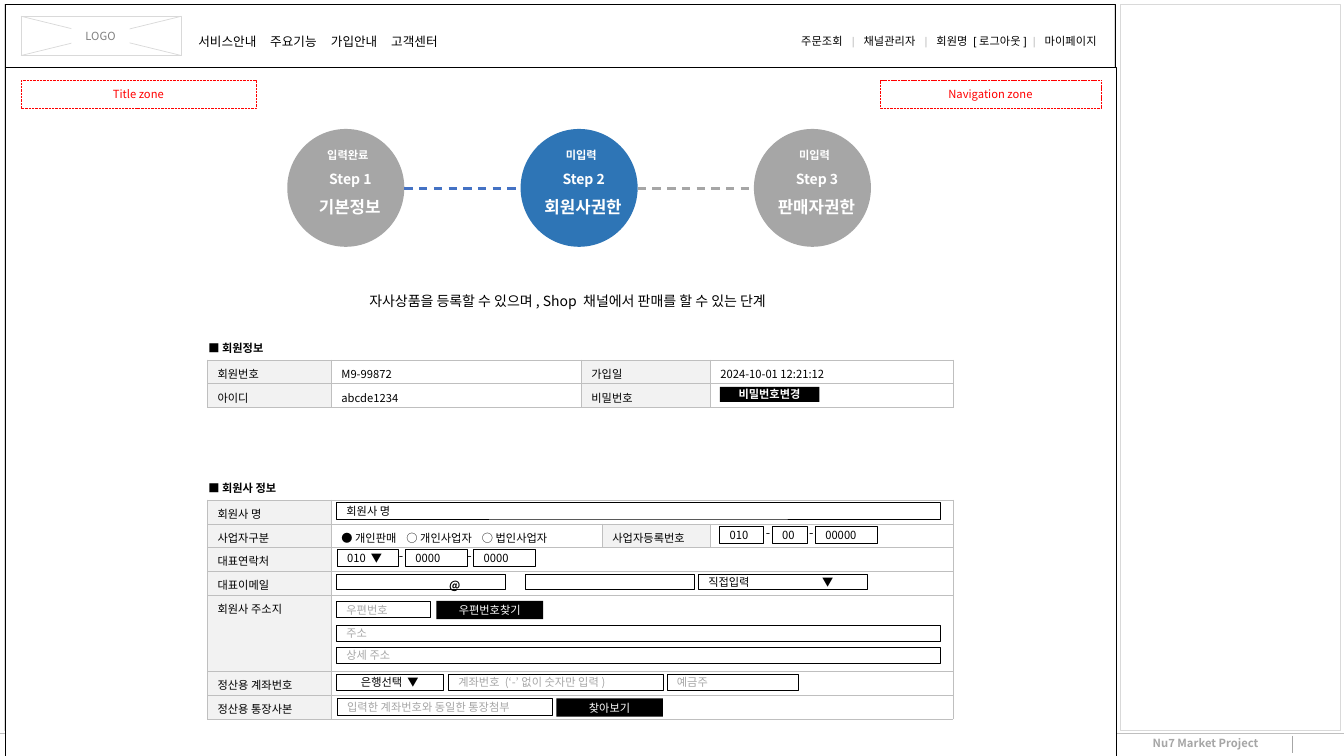
from lxml.etree import SubElement
from pptx import Presentation
from pptx.dml.color import RGBColor
from pptx.enum.dml import MSO_LINE_DASH_STYLE as Dash
from pptx.enum.shapes import MSO_CONNECTOR as Connector, MSO_SHAPE as Preset
from pptx.enum.text import MSO_ANCHOR as Anchor, MSO_AUTO_SIZE as AutoSize, PP_ALIGN as Align
from pptx.oxml.ns import qn
from pptx.util import Cm, Pt

FONT = "Noto Sans CJK KR"
COLORS = {
    "black": "000000", "white": "FFFFFF", "red": "FF0000", "blue": "2E75B6",
    "link": "4472C4", "gray": "A6A6A6", "logo": "808080", "border": "BFBFBF",
    "frame": "D9D9D9", "label": "F2F2F2",
}
MEMBER_ROWS = [
    ["회원번호", "M9-99872", "가입일", "2024-10-01 12:21:12"],
    ["아이디", "abcde1234", "비밀번호", ""],
]
COMPANY_ROWS = [
    ["회원사 명"],
    ["사업자구분", "● 개인판매\t○ 개인사업자\t○ 법인사업자", "사업자등록번호", ""],
    ["대표연락처"], ["대표이메일", "@"], ["회원사 주소지"],
    ["정산용 계좌번호"], ["정산용 통장사본"],
]
STEPS = [
    ("입력완료", "Step 1", "기본정보", "gray"),
    ("미입력", "Step 2", "회원사권한", "blue"),
    ("미입력", "Step 3", "판매자권한", "gray"),
]


def rgb(name):
    return RGBColor.from_string(COLORS[name])


def write(frame, runs, size=8, color="black", bold=False, align=Align.LEFT,
          font=FONT, tabs=(), spacing=None):
    """Fill the first paragraph; runs is a string or a list of (text, color)."""
    paragraph = frame.paragraphs[0]
    paragraph.alignment = align
    if spacing:
        paragraph.line_spacing = spacing
    if tabs:
        tab_list = SubElement(paragraph._p.get_or_add_pPr(), qn("a:tabLst"))
        for position in tabs:
            SubElement(tab_list, qn("a:tab"), pos=str(Cm(position)), algn="l")
    for text, run_color in [(runs, color)] if isinstance(runs, str) else runs:
        run = paragraph.add_run()
        run.text = text
        run.font.size = Pt(size)
        run.font.bold = bold
        run.font.name = font
        run.font.color.rgb = rgb(run_color)
        SubElement(run._r.get_or_add_rPr(), qn("a:ea"), typeface=font)


def add_text(slide, box, runs, wrap=True, **style):
    frame = slide.shapes.add_textbox(*map(Cm, box)).text_frame
    frame.word_wrap = wrap
    write(frame, runs, **style)


def add_box(slide, box, text="", fill=None, line="black", width=0.5,
            dash=None, preset=Preset.RECTANGLE, **style):
    shape = slide.shapes.add_shape(preset, *map(Cm, box))
    shape.shadow.inherit = False
    if fill:
        shape.fill.solid()
        shape.fill.fore_color.rgb = rgb(fill)
    else:
        shape.fill.background()
    if line:
        shape.line.color.rgb = rgb(line)
        shape.line.width = Pt(width)
        if dash:
            shape.line.dash_style = dash
    else:
        shape.line.fill.background()
    if text:
        frame = shape.text_frame
        frame.margin_top = frame.margin_bottom = 0
        frame.vertical_anchor = Anchor.MIDDLE
        write(frame, text, **style)


def add_line(slide, ends, color, width=0.25, dash=None):
    line = slide.shapes.add_connector(Connector.STRAIGHT, *map(Cm, ends))
    line.line.color.rgb = rgb(color)
    line.line.width = Pt(width)
    if dash:
        line.line.dash_style = dash
    SubElement(line._element.spPr, qn("a:effectLst"))


def add_button(slide, box, text, bold=False):
    add_box(slide, box, text, "black", None, color="white", bold=bold, align=Align.CENTER)


def add_hint(slide, box, text):
    """Input field with a gray hint."""
    add_box(slide, box, text, "white", color="gray")


def style_cell(cell, fill):
    cell.fill.solid()
    cell.fill.fore_color.rgb = rgb(fill)
    cell.margin_top, cell.margin_bottom = Cm(0.13), 0
    properties = cell._tc.get_or_add_tcPr()
    for index, side in enumerate(("a:lnL", "a:lnR", "a:lnT", "a:lnB")):
        border = properties.makeelement(qn(side), w=str(Pt(0.5)))
        color = SubElement(SubElement(border, qn("a:solidFill")), qn("a:srgbClr"))
        color.set("val", COLORS["border"])
        properties.insert(index, border)


def add_form_table(slide, top, widths, heights, rows):
    """Rows with fewer than three entries merge everything after the label."""
    table = slide.shapes.add_table(len(rows), len(widths), Cm(5.23), Cm(top),
                                   Cm(sum(widths)), Cm(sum(heights))).table
    table.first_row = table.horz_banding = False
    for column, width in zip(table.columns, widths):
        column.width = Cm(width)
    for r, values in enumerate(rows):
        table.rows[r].height = Cm(heights[r])
        merged = len(values) < 3
        for c in range(len(widths)):
            cell = table.cell(r, c)
            style_cell(cell, "label" if c == 0 or c == 2 and not merged else "white")
            text = values[c] if c < len(values) else ""
            if text:
                write(cell.text_frame, text, bold=text == "@",
                      tabs=(1.64, 3.54) if "\t" in text else ())
            else:
                SubElement(cell.text_frame.paragraphs[0]._p, qn("a:endParaRPr"), sz="800")
        if merged:
            table.cell(r, 1).merge(table.cell(r, len(widths) - 1))
    return table


def add_page_frame(slide):
    add_line(slide, (0, 18.47, 33.87, 18.47), "border")
    add_text(slide, (28.8, 18.44, 3.56, 0.61), "Nu7 Market Project", color="gray", bold=True)
    add_line(slide, (32.56, 18.54, 32.56, 18.97), "gray")
    add_box(slide, (28.24, 0.1, 5.54, 18.29), line="frame", width=0.25)
    add_box(slide, (0.1, 0.1, 27.99, 18.29), line="frame", width=0.25)
    add_box(slide, (0.13, 0.1, 27.97, 1.6), width=0.25)
    add_box(slide, (0.53, 0.41, 4.04, 0.99), fill="white", line="frame")
    add_line(slide, (0.53, 1.4, 4.57, 0.41), "frame", 0.5)
    add_line(slide, (0.53, 0.41, 4.57, 1.4), "frame", 0.5)
    add_box(slide, (1.8, 0.61, 1.47, 0.61), "LOGO", "white", None,
            color="logo", align=Align.CENTER)
    add_text(slide, (4.75, 0.53, 9.4, 0.76), "서비스안내\t주요기능\t가입안내\t고객센터",
             size=9, font="Arial", tabs=(1.81, 3.34, 4.86), spacing=1.5)
    account_menu = []
    for item in ("주문조회", "채널관리자", "회원명 [로그아웃]"):
        account_menu += [(item + "  ", "black"), ("|  ", "border")]
    add_text(slide, (17.45, 0.56, 10.44, 0.71), account_menu + [("마이페이지", "black")],
             font="Arial", align=Align.RIGHT, spacing=1.5)
    add_box(slide, (0.13, 1.7, 27.99, 31.39), fill="white", width=0.25)
    for left, width, name in ((0.53, 5.92, "Title zone"), (22.17, 5.59, "Navigation zone")):
        add_box(slide, (left, 2.01, width, 0.71), name, line="red", width=0.25,
                dash=Dash.SQUARE_DOT, color="red", align=Align.CENTER)


def add_steps(slide):
    diameter, pitch = 2.95, 5.88
    for index, (status, step, name, color) in enumerate(STEPS):
        left = 7.24 + index * pitch
        add_box(slide, (left, 3.25, diameter, 2.97), fill=color, line=None, preset=Preset.OVAL)
        for offset, top, width, height, text, size in (
                (0.69, 3.61, 1.68, 0.61, status, 8),
                (0.75, 4.17, 1.68, 0.69, step, 10),
                (0.18, 4.83, 2.79, 0.76, name, 12)):
            add_text(slide, (left + offset, top, width, height), text, size=size,
                     color="white", bold=True, align=Align.CENTER)
        if index:
            add_line(slide, (left - pitch + diameter, 4.75, left, 4.75),
                     "link" if index == 1 else "gray", 1.5, Dash.DASH)


def add_headline(slide):
    title = slide.shapes.title
    title.left, title.top, title.width, title.height = map(Cm, (7.95, 7.24, 12.7, 0.69))
    title.text_frame.auto_size = AutoSize.NONE
    title.text_frame.vertical_anchor = Anchor.TOP
    write(title.text_frame, "자사상품을 등록할 수 있으며, Shop 채널에서 판매를 할 수 있는 단계",
          size=10, align=Align.CENTER)
    title.element.getparent().append(title.element)  # in front of the white page


def add_company_fields(slide):
    add_box(slide, (8.48, 12.67, 15.21, 0.41), "회원사 명")
    for left, width, text in ((18.14, 1.09, "010"), (19.46, 0.89, "00"), (20.55, 1.55, "00000")):
        add_box(slide, (left, 13.26, width, 0.43), text)
    for index, text in enumerate(("010  ▼", "0000", "0000")):
        add_box(slide, (8.5 + 1.72 * index, 13.84, 1.55, 0.43), text)
    for left, top in ((19.05, 13.11), (20.14, 13.11), (9.8, 13.69), (11.53, 13.69)):
        add_text(slide, (left, top, 0.64, 0.64), "-", wrap=False, size=9)
    for left, text in ((8.48, ""), (13.23, ""), (17.6, "직접입력\t▼")):
        add_box(slide, (left, 14.48, 4.27, 0.38), text, tabs=(2.87,))
    add_button(slide, (11, 15.14, 2.69, 0.46), "우편번호찾기")
    add_hint(slide, (8.48, 15.16, 2.36, 0.41), "우편번호")
    add_hint(slide, (8.48, 15.75, 15.21, 0.41), "주소")
    add_hint(slide, (8.48, 16.31, 15.21, 0.41), "상세 주소")
    add_box(slide, (8.48, 16.99, 2.69, 0.41), "은행선택  ▼", "white", align=Align.CENTER)
    add_hint(slide, (11.3, 16.99, 5.41, 0.41), "계좌번호 (‘-’없이 숫자만 입력)")
    add_hint(slide, (16.81, 16.99, 3.3, 0.41), "예금주")
    add_button(slide, (14.02, 17.6, 2.69, 0.46), "찾아보기")
    add_hint(slide, (8.5, 17.6, 5.41, 0.43), "입력한 계좌번호와 동일한 통장첨부")


def main():
    presentation = Presentation()
    presentation.slide_width, presentation.slide_height = Cm(33.87), Cm(19.05)
    slide = presentation.slides.add_slide(presentation.slide_layouts[5])
    add_page_frame(slide)
    add_headline(slide)
    add_steps(slide)
    for top, heading in ((8.48, "■ 회원정보"), (12.01, "■ 회원사 정보")):
        add_text(slide, (5, top, 2.44, 0.61), heading, wrap=False, bold=True)
    add_form_table(slide, 9.07, (3.12, 6.3, 3.25, 6.12), (0.6, 0.6), MEMBER_ROWS)
    add_button(slide, (18.14, 9.75, 2.51, 0.38), "비밀번호변경", bold=True)
    company = add_form_table(slide, 12.6, (3.12, 6.83, 2.72, 6.12),
                             (0.6, 0.6, 0.6, 0.6, 1.92, 0.6, 0.6), COMPANY_ROWS)
    company.cell(3, 1).margin_left = Cm(2.97)
    add_company_fields(slide)
    presentation.save("out.pptx")


if __name__ == "__main__":
    main()
